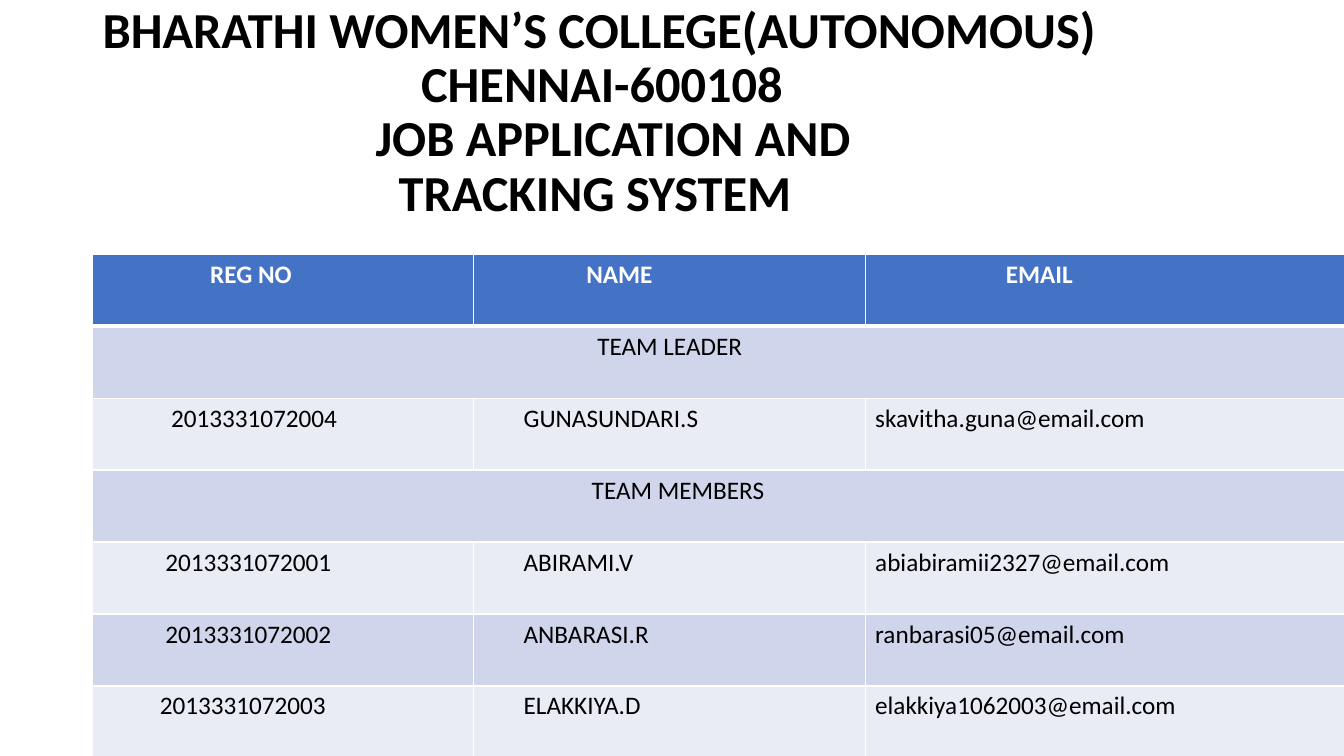
from lxml.etree import SubElement
from pptx import Presentation
from pptx.dml.color import RGBColor
from pptx.enum.text import MSO_ANCHOR
from pptx.oxml.ns import qn
from pptx.util import Pt

COLORS = {
    "header": "4472C4",
    "dark_band": "CFD5EA",
    "light_band": "E9EBF5",
    "white": "FFFFFF",
    "black": "000000",
}
FONT = "Calibri"
LEFT, WIDTH = 66.2, 828

# Each title line with its left indent
TITLE_LINES = [
    ("BHARATHI WOMEN’S COLLEGE(AUTONOMOUS)", 0),
    ("CHENNAI-600108", 227.5),
    ("JOB APPLICATION AND", 195),
    ("TRACKING SYSTEM", 211.5),
]

TABLE_TOP = 181.6
ROW_HEIGHT = 51.4
COLUMN_WIDTHS = [272.2, 279.6, 275.8]
NAME_MARGIN, EMAIL_MARGIN = 35.7, 7.2

# Each cell with its left margin; a row of one cell spans the table
TEAM_ROWS = [
    [("REG NO", 84), ("NAME", 80.5), ("EMAIL", 100.5)],
    [("TEAM LEADER", 360.5)],
    [("2013331072004", 56), ("GUNASUNDARI.S", NAME_MARGIN),
     ("skavitha.guna@email.com", EMAIL_MARGIN)],
    [("TEAM MEMBERS", 356.5)],
    [("2013331072001", 52), ("ABIRAMI.V", NAME_MARGIN),
     ("abiabiramii2327@email.com", EMAIL_MARGIN)],
    [("2013331072002", 52), ("ANBARASI.R", NAME_MARGIN),
     ("ranbarasi05@email.com", EMAIL_MARGIN)],
    [("2013331072003", 48), ("ELAKKIYA.D", NAME_MARGIN),
     ("elakkiya1062003@email.com", EMAIL_MARGIN)],
]


def set_font(paragraph, size, color, bold):
    font = paragraph.font
    font.name = FONT
    font.size = Pt(size)
    font.bold = bold
    font.color.rgb = RGBColor.from_string(COLORS[color])


def add_title(slide):
    text_box = slide.shapes.add_textbox(Pt(LEFT), Pt(28.8), Pt(WIDTH), Pt(104.4))
    text_frame = text_box.text_frame
    text_frame.word_wrap = True
    text_frame.vertical_anchor = MSO_ANCHOR.MIDDLE
    for index, (text, indent) in enumerate(TITLE_LINES):
        paragraph = text_frame.add_paragraph() if index else text_frame.paragraphs[0]
        paragraph.text = text
        paragraph.line_spacing = 0.9
        paragraph._p.get_or_add_pPr().set("marL", str(Pt(indent)))
        set_font(paragraph, 36, "black", True)


def set_borders(cell, bottom_width):
    properties = cell._tc.get_or_add_tcPr()
    for side, width in (("L", 1), ("R", 1), ("T", 1), ("B", bottom_width)):
        line = SubElement(properties, qn(f"a:ln{side}"), w=str(Pt(width)))
        fill = SubElement(line, qn("a:solidFill"))
        SubElement(fill, qn("a:srgbClr"), val=COLORS["white"])


def style_cell(cell, row_index):
    is_header = row_index == 0
    set_borders(cell, 3 if is_header else 1)
    band = "dark_band" if row_index % 2 else "light_band"
    cell.fill.solid()
    cell.fill.fore_color.rgb = RGBColor.from_string(
        COLORS["header" if is_header else band])
    set_font(cell.text_frame.paragraphs[0], 18,
             "white" if is_header else "black", is_header)


def add_team_table(slide):
    row_count, column_count = len(TEAM_ROWS), len(COLUMN_WIDTHS)
    table = slide.shapes.add_table(
        row_count, column_count, Pt(LEFT), Pt(TABLE_TOP),
        Pt(WIDTH), Pt(ROW_HEIGHT * row_count)).table
    for column, width in zip(table.columns, COLUMN_WIDTHS):
        column.width = Pt(width)
    for row_index, entries in enumerate(TEAM_ROWS):
        table.rows[row_index].height = Pt(ROW_HEIGHT)
        if len(entries) == 1:
            table.cell(row_index, 0).merge(table.cell(row_index, column_count - 1))
        for column_index, (text, margin) in enumerate(entries):
            cell = table.cell(row_index, column_index)
            cell.text = text
            cell.margin_left = Pt(margin)
        for cell in table.rows[row_index].cells:
            style_cell(cell, row_index)


def main():
    presentation = Presentation()
    presentation.slide_width = Pt(960)
    presentation.slide_height = Pt(540)
    slide = presentation.slides.add_slide(presentation.slide_layouts[6])
    add_title(slide)
    add_team_table(slide)
    presentation.save("out.pptx")


if __name__ == "__main__":
    main()
